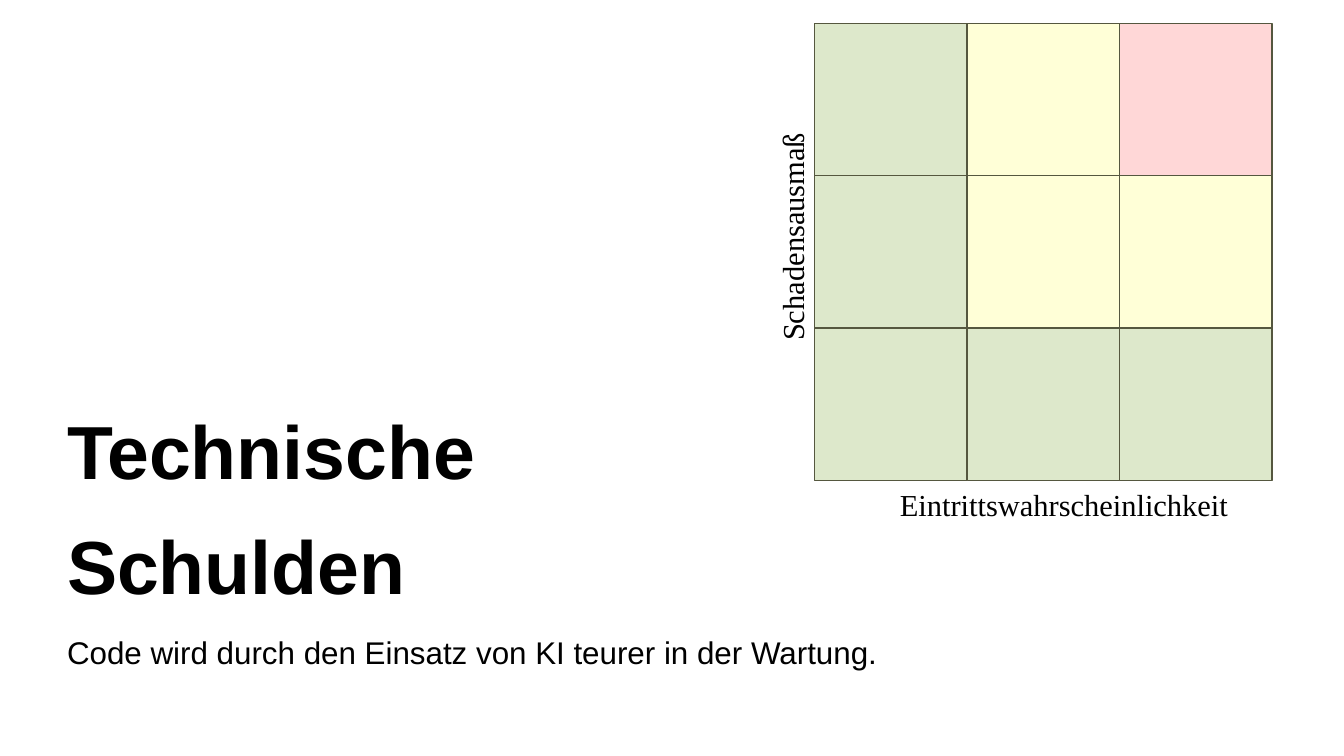
import dataclasses

import pptx
import pptx.dml.color
import pptx.enum.shapes
import pptx.enum.text
import pptx.util
from pptx.util import Inches


@dataclasses.dataclass(frozen=True)
class Theme:
    low: str = "DDE8CB"
    medium: str = "FFFFD7"
    high: str = "FFD7D7"
    border: str = "55573F"
    ink: str = "000000"
    text_font: str = "Arial"
    axis_font: str = "Times New Roman"
    title_size: float = 44.4
    body_size: float = 18.5
    axis_size: float = 18
    line_gap: float = 14.2


class RiskSlide:
    """Draws the text and the risk matrix on one slide in a shared theme."""

    def __init__(self, slide, theme):
        self.slide = slide
        self.theme = theme
        self.matrix = slide.shapes.add_group_shape()

    def color(self, value):
        return pptx.dml.color.RGBColor.from_string(value)

    def add_run(self, paragraph, text, font, size, bold=False):
        run = paragraph.add_run()
        run.text = text
        run.font.name = font
        run.font.size = pptx.util.Pt(size)
        run.font.bold = bold
        run.font.color.rgb = self.color(self.theme.ink)

    def add_statement(self, left, top, width, height, title_lines, body):
        frame = self.slide.shapes.add_textbox(
            Inches(left), Inches(top), Inches(width), Inches(height)).text_frame
        frame.word_wrap = True
        frame.margin_left = frame.margin_right = 0
        frame.margin_top = frame.margin_bottom = 0
        theme = self.theme
        lines = [(line, theme.title_size, True) for line in title_lines]
        lines.append((body, theme.body_size, False))
        for index, (text, size, bold) in enumerate(lines):
            paragraph = frame.add_paragraph() if index else frame.paragraphs[0]
            paragraph.space_before = pptx.util.Pt(theme.line_gap if index else 0)
            self.add_run(paragraph, text, theme.text_font, size, bold)

    def add_cell(self, left, top, size, fill):
        cell = self.matrix.shapes.add_shape(
            pptx.enum.shapes.MSO_SHAPE.RECTANGLE,
            Inches(left), Inches(top), Inches(size), Inches(size))
        cell.shadow.inherit = False
        cell.fill.solid()
        cell.fill.fore_color.rgb = self.color(fill)
        cell.line.color.rgb = self.color(self.theme.border)
        cell.line.width = pptx.util.Pt(0)

    def add_matrix(self, left, top, size, levels):
        for row, fills in enumerate(levels):
            for column, fill in enumerate(fills):
                self.add_cell(left + column * size, top + row * size, size, fill)

    def add_axis_label(self, left, top, width, height, text, rotation=0):
        label = self.matrix.shapes.add_textbox(
            Inches(left), Inches(top), Inches(width), Inches(height))
        label.rotation = rotation
        frame = label.text_frame
        frame.word_wrap = False
        frame.auto_size = pptx.enum.text.MSO_AUTO_SIZE.SHAPE_TO_FIT_TEXT
        self.add_run(frame.paragraphs[0], text, self.theme.axis_font, self.theme.axis_size)


def main():
    presentation = pptx.Presentation()
    presentation.slide_width = Inches(11.02)
    presentation.slide_height = Inches(6.2)
    theme = Theme()
    risk = RiskSlide(presentation.slides.add_slide(presentation.slide_layouts[6]), theme)

    risk.add_statement(0.55, 3.32, 9.92, 2.2, ["Technische", "Schulden"],
                       "Code wird durch den Einsatz von KI teurer in der Wartung.")
    risk.add_matrix(6.68, 0.19, 1.25, [
        [theme.low, theme.medium, theme.high],
        [theme.low, theme.medium, theme.medium],
        [theme.low, theme.low, theme.low],
    ])
    risk.add_axis_label(7.28, 3.94, 3, 0.38, "Eintrittswahrscheinlichkeit")
    risk.add_axis_label(5.48, 1.7, 2.01, 0.38, "Schadensausmaß", rotation=270)

    presentation.save("out.pptx")


if __name__ == "__main__":
    main()
